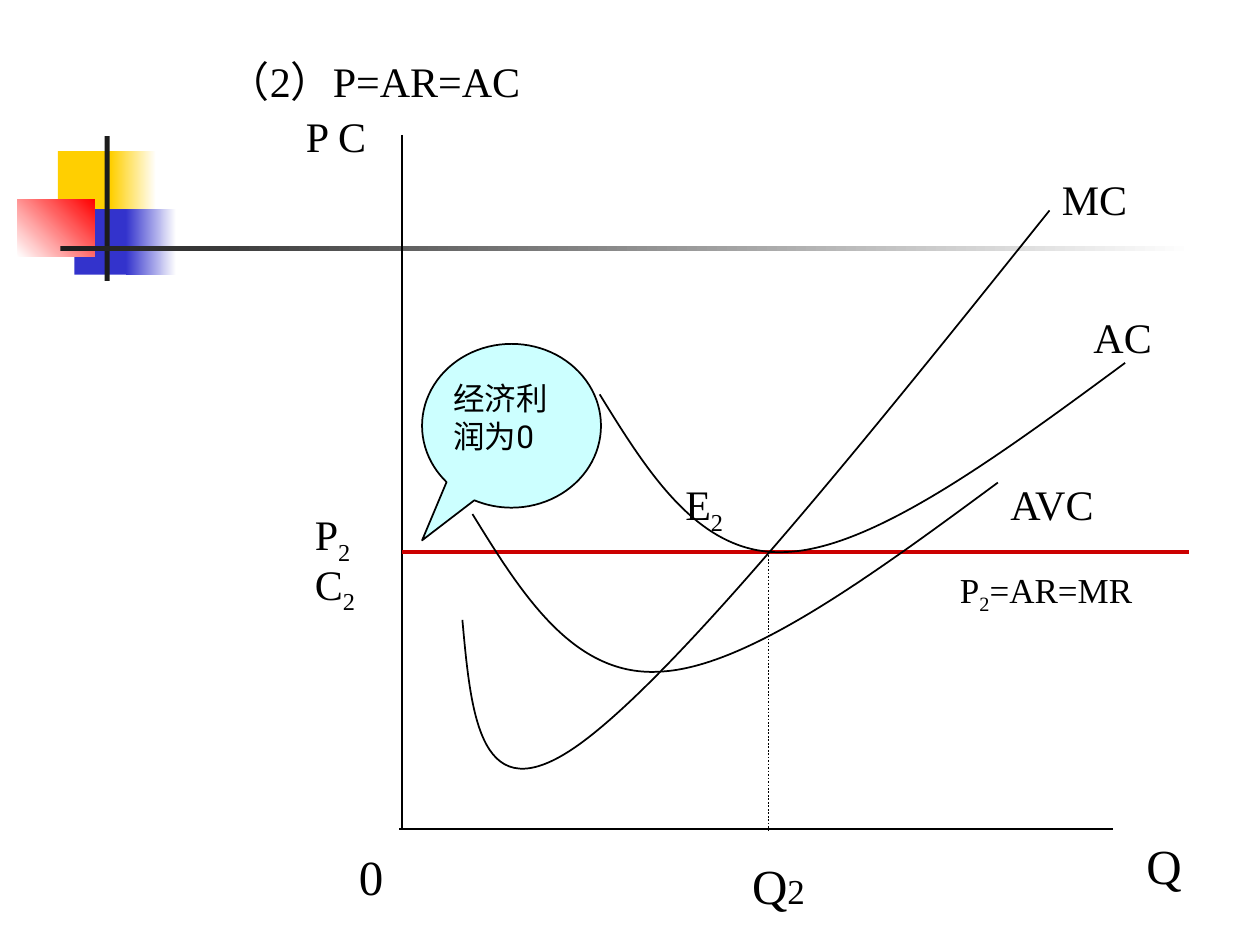
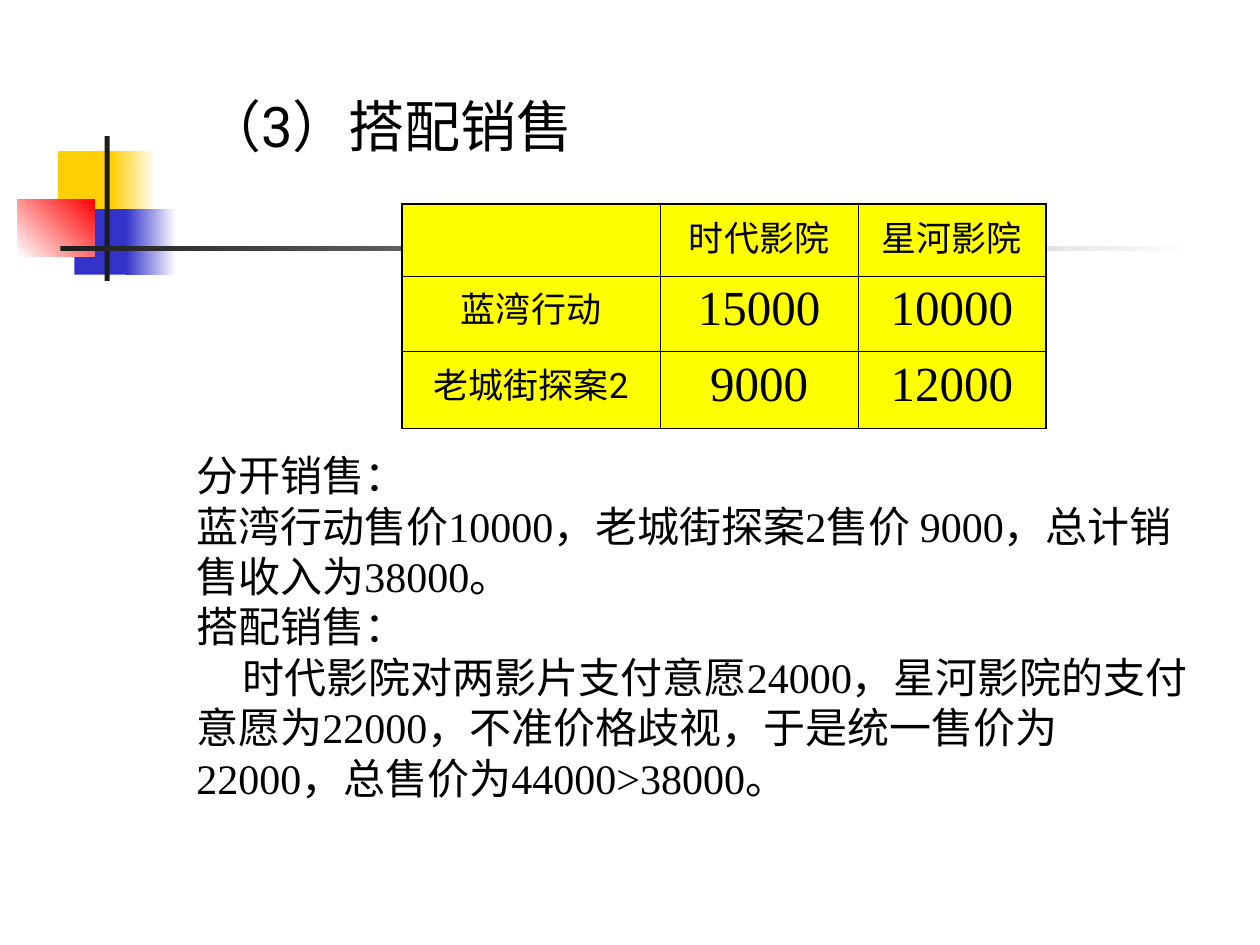
from lxml import etree
from pptx import Presentation
from pptx.dml.color import RGBColor
from pptx.enum.dml import MSO_LINE
from pptx.enum.shapes import MSO_CONNECTOR, MSO_SHAPE
from pptx.enum.text import PP_ALIGN
from pptx.oxml.ns import qn
from pptx.util import Inches, Pt

RECTANGLE = MSO_SHAPE.RECTANGLE
CALLOUT = MSO_SHAPE.OVAL_CALLOUT
STRAIGHT = MSO_CONNECTOR.STRAIGHT
DOTTED = MSO_LINE.ROUND_DOT
CENTER = PP_ALIGN.CENTER

SERIF, SANS = "Times New Roman", "Roboto"
BLACK, WHITE, DARK = "000000", "FFFFFF", "1C1C1C"
GOLD, BLUE, RED = "FFCF01", "3333CC", "FF0000"
PRICE_RED, PALE_CYAN, YELLOW = "CC0000", "CCFFFF", "FFFF00"

# Shared ornament: box, colours (two make a gradient), gradient angle
ORNAMENT = [
    ((0.46, 1.2, 0.48, 0.52), [GOLD], 0),
    ((0.88, 1.2, 0.36, 0.52), [GOLD, WHITE], 0),
    ((0.59, 1.66, 0.46, 0.52), [BLUE], 0),
    ((1, 1.66, 0.4, 0.52), [BLUE, WHITE], 0),
    ((0.14, 1.58, 0.61, 0.46), [WHITE, RED], 45),
    ((0.83, 1.08, 0.04, 1.15), [DARK], 0),
    ((0.48, 1.95, 9, 0.04), [DARK, WHITE], 0),
]

# Cost diagram: start, end, colour, width in points, dash
DIAGRAM_LINES = [
    ((3.19, 1.07), (3.19, 6.57), BLACK, 1, None),
    ((3.17, 6.58), (8.83, 6.58), BLACK, 1, None),
    ((3.19, 4.38), (9.44, 4.38), PRICE_RED, 2.25, None),
    ((6.1, 4.38), (6.1, 6.59), BLACK, 1, DOTTED),
]

# Cubic curves: start point, then two control points and an end per segment
MARGINAL_COST = [(3.67, 4.92), (3.74, 5.69), (3.81, 6.46), (4.58, 5.92),
                 (5.36, 5.37), (6.85, 3.52), (8.33, 1.67)]
AVERAGE_VARIABLE_COST = [(3.75, 4.08), (4.15, 4.73), (4.56, 5.38), (5.25, 5.33),
                         (5.94, 5.29), (6.93, 4.56), (7.92, 3.83)]
AVERAGE_COST_SHIFT = (1.01, -0.95)
AVERAGE_COST = [(x + AVERAGE_COST_SHIFT[0], y + AVERAGE_COST_SHIFT[1])
                for x, y in AVERAGE_VARIABLE_COST]

# Diagram labels: box, size, parts; "_" marks a subscript
DIAGRAM_LABELS = [
    ((1.71, 0.39, 3, 0.5), 24, ["（2）P=AR=AC"]),
    ((2.33, 0.83, 1.17, 0.5), 24, ["P C"]),
    ((9, 6.58, 0.5, 0.57), 28, ["Q"]),
    ((2.75, 6.67, 0.67, 0.57), 28, ["0"]),
    ((8.33, 1.33, 0.83, 0.5), 24, ["MC"]),
    ((8.58, 2.42, 0.75, 0.5), 24, ["AC"]),
    ((7.92, 3.75, 1.25, 0.5), 24, ["AVC"]),
    ((7.52, 4.46, 1.83, 0.48), 20, ["P", "_2", "=AR=MR"]),
    ((2.4, 3.99, 0.67, 0.56), 24, ["P", "_2"]),
    ((2.4, 4.38, 0.67, 0.56), 24, ["C", "_2"]),
    ((5.34, 3.75, 1.25, 0.56), 24, ["E", "_2"]),
]
QUANTITY_BOX = (5.87, 6.74, 0.75, 0.57)
QUANTITY_PARTS = [("Q", 28), ("2", 20)]
CALLOUT_BOX, CALLOUT_TIP = (3.35, 2.73, 1.42, 1.3), (-0.5, 0.699)
CALLOUT_TEXT_BOX, CALLOUT_TEXT = (3.5, 2.96, 0.97, 1), "经济利润为0"

# Bundled sales
SALES_TITLE_BOX, SALES_TITLE = (1.53, 0.68, 7.8, 4.66), "（3）搭配销售"
TABLE_BOX = (3.19, 1.62, 5.11, 1.78)
COLUMN_WIDTHS, ROW_HEIGHTS = [2.05, 1.57, 1.49], [0.57, 0.6, 0.61]
TABLE_ROWS = [
    ["", "时代影院", "星河影院"],
    ["蓝湾行动", "15000", "10000"],
    ["老城街探案2", "9000", "12000"],
]
OUTER_BORDER, INNER_BORDER = 1.08, 0.45
SALES_BOX = (1.46, 3.52, 8.15, 3.3)
SALES_PARAGRAPHS = [  # text, first-line indent
    ("分开销售：", 0),
    ("蓝湾行动售价10000，老城街探案2售价 9000，总计销售收入为38000。", 0),
    ("搭配销售：", 0),
    ("时代影院对两影片支付意愿24000，星河影院的支付意愿为22000，"
     "不准价格歧视，于是统一售价为22000，总售价为44000>38000。", 0.37),
]


def color(value):
    return RGBColor.from_string(value)


def inches(values):
    return [Inches(value) for value in values]


def add_run(paragraph, text, size, font=SERIF, subscript=False):
    run = paragraph.add_run()
    run.text = text
    run.font.size = Pt(size)
    run.font.name = font
    run.font.color.rgb = color(BLACK)
    if subscript:
        run._r.get_or_add_rPr().set("baseline", "-25000")


def add_text_frame(slide, box):
    frame = slide.shapes.add_textbox(*inches(box)).text_frame
    frame.word_wrap = True
    return frame


def add_text(slide, box, text, size, font):
    add_run(add_text_frame(slide, box).paragraphs[0], text, size, font)


def style_line(line, value, width):
    line.color.rgb = color(value)
    line.width = Pt(width)


def add_line(slide, start, end, value, width, dash):
    connector = slide.shapes.add_connector(STRAIGHT, *inches(start + end))
    style_line(connector.line, value, width)
    if dash is not None:
        connector.line.dash_style = dash
    etree.SubElement(connector._element.spPr, qn("a:effectLst"))


def add_curve(slide, points):
    start, *rest = [tuple(inches(point)) for point in points]
    builder = slide.shapes.build_freeform(*start)
    builder.add_line_segments(rest, close=False)
    shape = builder.convert_to_shape()
    # Join every three straight steps into one cubic segment
    steps = list(shape._element.iter(qn("a:lnTo")))
    for first in range(0, len(steps), 3):
        cubic = etree.Element(qn("a:cubicBezTo"))
        steps[first].addprevious(cubic)
        for step in steps[first:first + 3]:
            cubic.append(step[0])
            step.getparent().remove(step)
    shape.shadow.inherit = False
    shape.fill.background()
    style_line(shape.line, BLACK, 1)


def add_ornament(slide):
    for box, colors, angle in ORNAMENT:
        shape = slide.shapes.add_shape(RECTANGLE, *inches(box))
        shape.shadow.inherit = False
        shape.line.fill.background()
        if len(colors) == 1:
            shape.fill.solid()
            shape.fill.fore_color.rgb = color(colors[0])
        else:
            shape.fill.gradient()
            shape.fill.gradient_angle = angle
            for stop, value in zip(shape.fill.gradient_stops, colors):
                stop.color.rgb = color(value)


def add_slide(presentation):
    slide = presentation.slides.add_slide(presentation.slide_layouts[6])
    add_ornament(slide)
    return slide


def add_callout(slide):
    shape = slide.shapes.add_shape(CALLOUT, *inches(CALLOUT_BOX))
    shape.shadow.inherit = False
    for index, value in enumerate(CALLOUT_TIP):
        shape.adjustments[index] = value
    shape.fill.solid()
    shape.fill.fore_color.rgb = color(PALE_CYAN)
    style_line(shape.line, BLACK, 1)
    add_text(slide, CALLOUT_TEXT_BOX, CALLOUT_TEXT, 18, SANS)


def set_borders(cell, widths):
    properties = cell._tc.get_or_add_tcPr()
    for side, width in widths.items():
        line = etree.SubElement(properties, qn("a:ln" + side), w=str(Pt(width)))
        fill = etree.SubElement(line, qn("a:solidFill"))
        etree.SubElement(fill, qn("a:srgbClr"), val=BLACK)


def add_price_table(slide):
    row_count, column_count = len(ROW_HEIGHTS), len(COLUMN_WIDTHS)
    table = slide.shapes.add_table(row_count, column_count, *inches(TABLE_BOX)).table
    table.first_row = table.horz_banding = False
    for column, width in zip(table.columns, COLUMN_WIDTHS):
        column.width = Inches(width)
    for row, height in zip(table.rows, ROW_HEIGHTS):
        row.height = Inches(height)
    for i, texts in enumerate(TABLE_ROWS):
        for j, text in enumerate(texts):
            cell = table.cell(i, j)
            edges = {"L": j == 0, "R": j == column_count - 1,
                     "T": i == 0, "B": i == row_count - 1}
            set_borders(cell, {side: OUTER_BORDER if outer else INNER_BORDER
                               for side, outer in edges.items()})
            cell.fill.solid()
            cell.fill.fore_color.rgb = color(YELLOW)
            paragraph = cell.text_frame.paragraphs[0]
            paragraph.alignment = CENTER
            if text:
                size, font = (28, SERIF) if text.isdigit() else (20, SANS)
                add_run(paragraph, text, size, font)


def build_diagram_slide(presentation):
    slide = add_slide(presentation)
    for line in DIAGRAM_LINES:
        add_line(slide, *line)
    for curve in (MARGINAL_COST, AVERAGE_VARIABLE_COST, AVERAGE_COST):
        add_curve(slide, curve)
    add_callout(slide)
    for box, size, parts in DIAGRAM_LABELS:
        paragraph = add_text_frame(slide, box).paragraphs[0]
        for part in parts:
            add_run(paragraph, part.lstrip("_"), size, subscript=part.startswith("_"))
    paragraph = add_text_frame(slide, QUANTITY_BOX).paragraphs[0]
    for text, size in QUANTITY_PARTS:
        add_run(paragraph, text, size)


def build_sales_slide(presentation):
    slide = add_slide(presentation)
    add_text(slide, SALES_TITLE_BOX, SALES_TITLE, 32, SANS)
    frame = add_text_frame(slide, SALES_BOX)
    for index, (text, indent) in enumerate(SALES_PARAGRAPHS):
        paragraph = frame.add_paragraph() if index else frame.paragraphs[0]
        if indent:
            paragraph._p.get_or_add_pPr().set("indent", str(Inches(indent)))
        add_run(paragraph, text, 24)
    add_price_table(slide)


def main():
    presentation = Presentation()
    presentation.slide_width, presentation.slide_height = Inches(10), Inches(7.5)
    build_diagram_slide(presentation)
    build_sales_slide(presentation)
    presentation.save("out.pptx")


if __name__ == "__main__":
    main()
